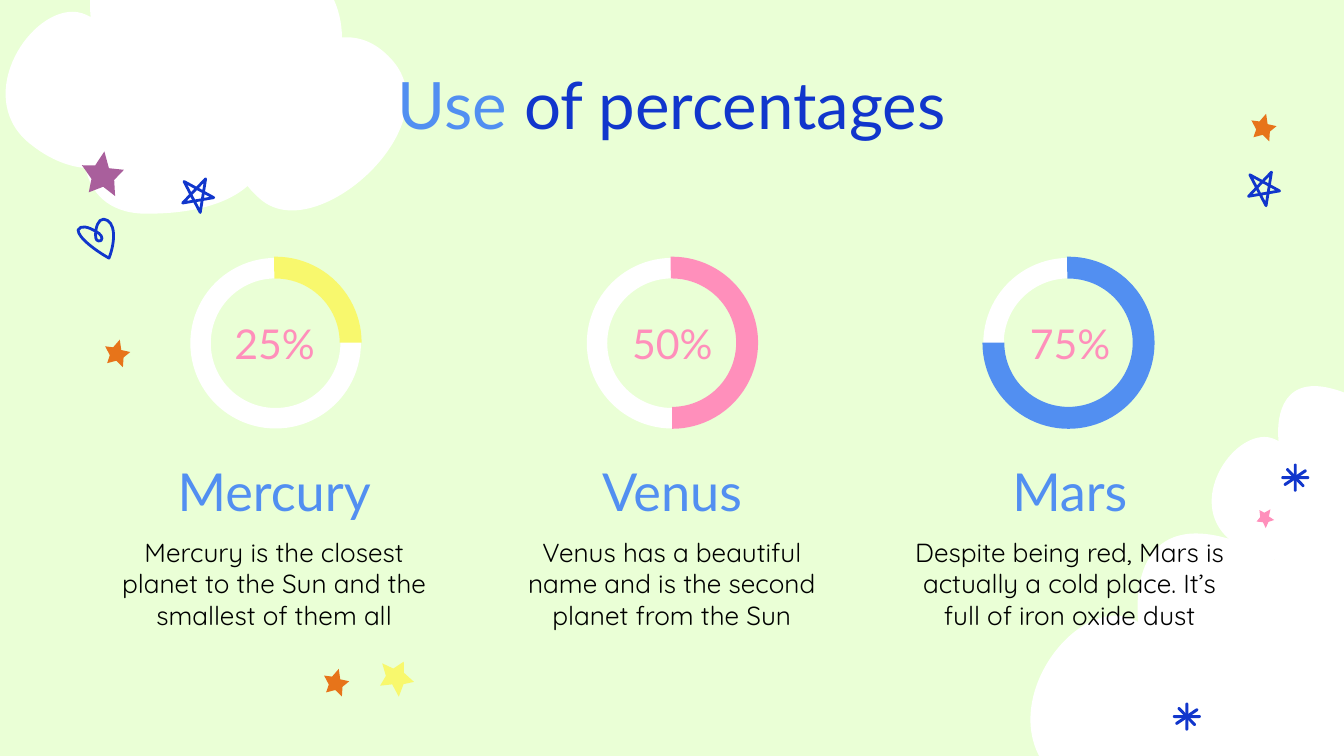
"""Build a slide of three planet percentages on a sky of clouds and stars."""
from pptx import Presentation
from pptx.dml.color import RGBColor
from pptx.enum import shapes, text
from pptx.oxml import ns
from pptx.util import Pt

COLORS = {
    "sky": "EAFFD6", "white": "FFFFFF", "black": "000000", "navy": "1136CC",
    "blue": "528FF1", "pink": "FF8FBB", "yellow": "F8F86D",
    "orange": "E7741A", "purple": "A95F9C",
}
CLOUD = [
    (271, 0), (250, 0), (232, 11), (219, 26), (211, 19), (200, 13), (186, 8),
    (174, 4), (164, 2), (155, 2), (103, 2), (112, 68), (112, 68),
    (107, 65), (101, 63), (95, 63), (51, 63), (0, 147), (57, 189),
    (75, 203), (93, 209), (107, 210), (112, 233), (128, 252), (162, 253),
    (163, 253), (165, 253), (166, 253), (212, 253), (243, 242), (260, 227),
    (264, 232), (268, 236), (274, 241), (282, 247), (291, 250), (302, 250),
    (360, 250), (445, 160), (395, 107), (381, 92), (367, 87), (353, 87),
    (351, 87), (350, 87), (349, 87), (349, 61), (337, 31), (305, 10),
    (293, 3), (281, 0), (271, 0),
]
HEART = [
    (23, 29), (14, 24), (0, 14), (0, 8), (2, 4), (8, 6), (13, 9),
    (17, 11), (19, 14), (17, 16), (14, 17), (13, 15), (13, 12),
    (13, 6), (15, 0), (19, 0), (28, 1), (28, 16), (23, 29),
]
STAR = [(79, 0), (44, 18), (16, 4), (21, 41), (0, 65),
        (37, 69), (52, 100), (68, 67), (100, 57), (70, 38)]
PENTAGRAM = [(17, 0), (13, 25), (1, 2), (23, 14), (0, 18)]

CLOUDS = [(635, 206, 198.7, 113), (-15, -29.5, 252.7, 144),
          (529.2, 284.4, 320.4, 182.2)]
STARS = [
    ((44.6, 82.8, 22.3, 23.8), 332.3, "purple"),
    ((670.3, 61.9, 13.7, 14.4), 339.2, "orange"),
    ((673.2, 272.9, 9.4, 10.1), 0, "pink"),
    ((173.5, 359.3, 13.7, 14.4), 339.2, "orange"),
    ((202.3, 352.8, 18, 19.4), 139.5, "yellow"),
    ((56.2, 182.9, 13.7, 14.4), 339.2, "orange"),
]
PLANETS = [
    ("Mercury", 25, "yellow",
     "Mercury is the closest planet to the Sun and the smallest of them all"),
    ("Venus", 50, "pink",
     "Venus has a beautiful name and is the second planet from the Sun"),
    ("Mars", 75, "blue",
     "Despite being red, Mars is actually a cold place. It’s full of iron oxide dust"),
]


def rgb(name):
    return RGBColor.from_string(COLORS[name])


def paint(shape, color):
    shape.shadow.inherit = False
    shape.fill.solid()
    shape.fill.fore_color.rgb = rgb(color)
    shape.line.fill.background()


def sketch(shape, color):
    shape.shadow.inherit = False
    shape.fill.background()
    shape.line.color.rgb = rgb(color)
    shape.line.width = Pt(1.5)


def curve(shape):
    """Turn each run of three straight segments into one cubic curve."""
    lines = list(shape.element.iter(ns.qn("a:lnTo")))
    for first in range(0, len(lines), 3):
        bezier = lines[first].makeelement(ns.qn("a:cubicBezTo"), {})
        lines[first].addprevious(bezier)
        for line in lines[first:first + 3]:
            bezier.append(line[0])
            line.getparent().remove(line)


def outline(slide, points, box, curved=False):
    left, top, width, height = map(Pt, box)
    scale = (width / max(x for x, _ in points), height / max(y for _, y in points))
    builder = slide.shapes.build_freeform(*points[0], scale=scale)
    builder.add_line_segments(points[1:], close=True)
    shape = builder.convert_to_shape(left, top)
    if curved:
        curve(shape)
    return shape


def add_asterisk(slide, center_x, center_y):
    spark = slide.shapes.add_group_shape()
    for length, angle in ((15, 90), (14.5, -34), (13.5, 46), (15, 0)):
        ray = spark.shapes.add_shape(
            shapes.MSO_SHAPE.ROUNDED_RECTANGLE, Pt(center_x - length / 2),
            Pt(center_y - 0.8), Pt(length), Pt(1.6))
        ray.adjustments[0] = 0.5
        ray.rotation = angle
        paint(ray, "navy")


def add_ring(slide, left, percent, color):
    track = slide.shapes.add_shape(
        shapes.MSO_SHAPE.DONUT, Pt(left + 0.5), Pt(138.2), Pt(91.4), Pt(91.4))
    track.adjustments[0] = 0.12
    paint(track, "white")
    share = slide.shapes.add_shape(
        shapes.MSO_SHAPE.BLOCK_ARC, Pt(left), Pt(137.5), Pt(92.2), Pt(92.2))
    end = (270 + 3.6 * percent) % 360
    for index, value in enumerate((269 * 0.6, end * 0.6, 0.127)):
        share.adjustments[index] = value
    paint(share, color)


def write(shape, runs, size, font="Lato", anchor=text.MSO_ANCHOR.TOP):
    frame = shape.text_frame
    frame.word_wrap = True
    frame.auto_size = text.MSO_AUTO_SIZE.NONE
    frame.vertical_anchor = anchor
    frame.margin_left = frame.margin_right = Pt(7.2)
    frame.margin_top = frame.margin_bottom = Pt(7.2)
    paragraph = frame.paragraphs[0]
    paragraph.alignment = text.PP_ALIGN.CENTER
    for words, color in runs:
        run = paragraph.add_run()
        run.text = words
        run.font.name = font
        run.font.size = Pt(size)
        run.font.color.rgb = rgb(color)


def add_text(slide, box, words, color, **style):
    write(slide.shapes.add_textbox(*map(Pt, box)), [(words, color)], **style)


def add_title(slide):
    title = slide.shapes.title
    title.left, title.top, title.width, title.height = map(Pt, (56.7, 27.4, 606.6, 50.4))
    write(title, [("Use", "blue"), (" of percentages", "navy")], size=35)
    slide.shapes.element.append(title.element)


def add_planet(slide, column, name, percent, color, fact):
    left = 56.2 + 213.1 * column
    add_text(slide, (left, 280.1, 181.4, 59.8), fact, "black", size=14, font="Quicksand")
    add_text(slide, (left, 252, 181.4, 34.6), name, "blue", size=28,
             anchor=text.MSO_ANCHOR.BOTTOM)
    add_text(slide, (left + 35.8, 167.8, 110.2, 31.7), f"{percent}%", "pink", size=22,
             anchor=text.MSO_ANCHOR.MIDDLE)
    add_ring(slide, 101.5 + 212.4 * column, percent, color)


def add_sky(slide):
    for box in CLOUDS:
        paint(outline(slide, CLOUD, box, curved=True), "white")
    for box, angle, color in STARS:
        star = outline(slide, STAR, box)
        star.rotation = angle
        paint(star, color)
    for left, top in ((668.9, 92.2), (97.9, 95.8)):
        sketch(outline(slide, PENTAGRAM, (left, top, 16.6, 18)), "navy")
    sketch(outline(slide, HEART, (41.8, 117.4, 20.2, 20.9), curved=True), "navy")
    for center in ((693.9, 255.9), (635.8, 383.9)):
        add_asterisk(slide, *center)


def main():
    deck = Presentation()
    deck.slide_width, deck.slide_height = Pt(720), Pt(405)
    slide = deck.slides.add_slide(deck.slide_layouts.get_by_name("Title Only"))
    slide.background.fill.solid()
    slide.background.fill.fore_color.rgb = rgb("sky")
    add_sky(slide)
    add_title(slide)
    for column, planet in enumerate(PLANETS):
        add_planet(slide, column, *planet)
    deck.save("out.pptx")


if __name__ == "__main__":
    main()
